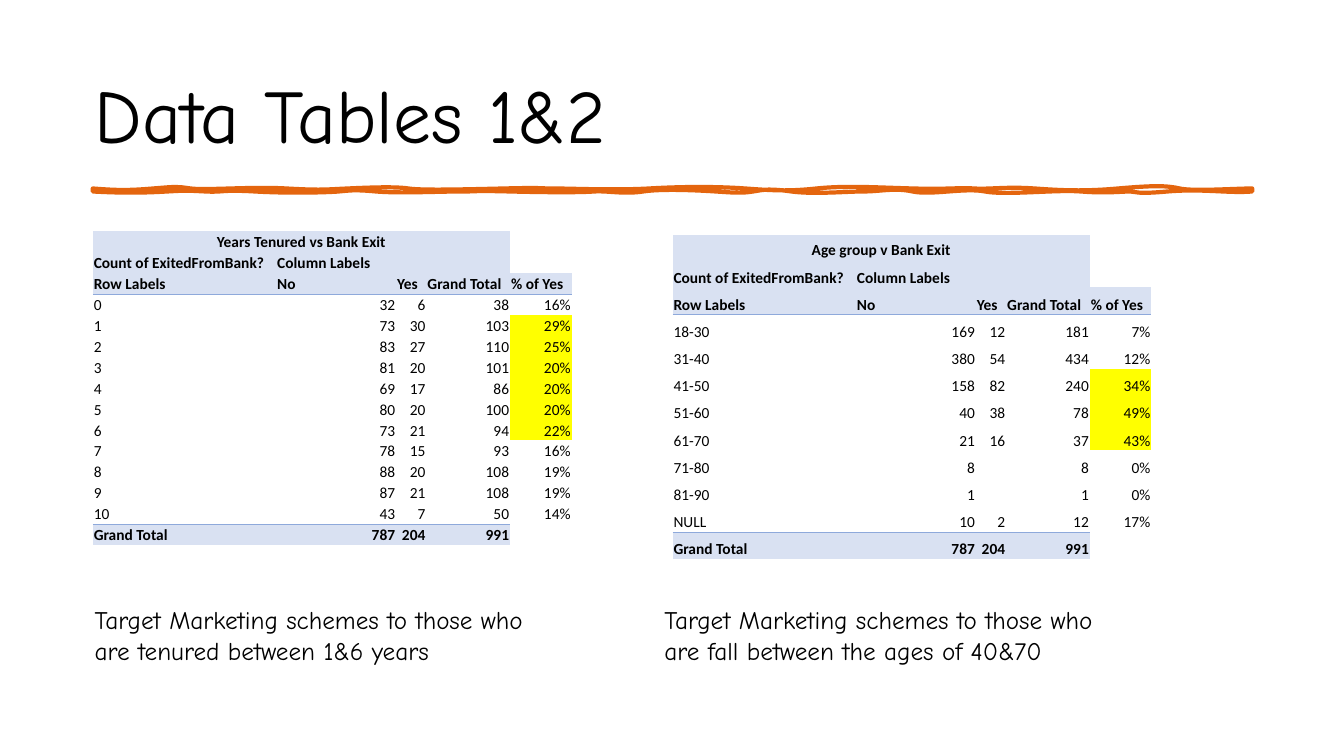
from lxml.etree import SubElement
from pptx import Presentation
from pptx.dml.color import RGBColor
from pptx.enum.text import MSO_ANCHOR as Anchor, PP_ALIGN as Align
from pptx.oxml.ns import qn
from pptx.util import Inches, Pt


def paint(color, hue):
    color.rgb = RGBColor.from_string(hue)


def write(box, text, size, face="Comic Neue", bold=False):
    para = box.text_frame.paragraphs[0]
    para.text = text
    font = para.font
    font.size, font.name, font.bold = Pt(size), face, bold
    paint(font.color, "000000")
    return para


deck = Presentation()
deck.slide_width, deck.slide_height = Inches(13.33), Inches(7.5)
slide = deck.slides.add_slide(deck.slide_layouts[6])
shapes = slide.shapes

# Hand-drawn rule, in hundredths of an inch: two control points and an end point
x0, y0 = 92, 187
curves = [
    (117, 189, 128, 189, 152, 187), (176, 185, 175, 185, 189, 187),
    (204, 189, 249, 185, 284, 187), (319, 189, 323, 188, 345, 187),
    (367, 186, 392, 185, 405, 187), (418, 189, 458, 188, 500, 187),
    (542, 186, 530, 187, 549, 187), (567, 187, 609, 189, 644, 187),
    (678, 185, 711, 185, 739, 187), (766, 189, 782, 190, 810, 187),
    (839, 184, 869, 186, 905, 187), (942, 188, 950, 186, 966, 187),
    (982, 188, 998, 185, 1026, 187), (1054, 189, 1075, 190, 1109, 187),
    (1144, 184, 1157, 184, 1170, 187), (1183, 190, 1226, 187, 1242, 187),
    (1242, 188, 1242, 189, 1242, 190), (1219, 192, 1193, 187, 1158, 190),
    (1124, 193, 1129, 190, 1121, 190), (1113, 190, 1096, 192, 1072, 190),
    (1048, 188, 997, 194, 977, 190), (957, 186, 924, 194, 905, 190),
    (887, 186, 874, 190, 856, 190), (839, 190, 807, 193, 785, 190),
    (763, 187, 759, 188, 747, 190), (736, 192, 725, 191, 710, 190),
    (694, 189, 657, 187, 638, 190), (619, 193, 601, 189, 589, 190),
    (577, 191, 546, 191, 506, 190), (465, 189, 479, 190, 457, 190),
    (434, 190, 396, 192, 373, 190), (351, 188, 348, 189, 336, 190),
    (324, 191, 287, 192, 253, 190), (218, 188, 223, 191, 204, 190),
    (184, 189, 184, 189, 166, 190), (149, 191, 127, 192, 92, 190),
    (92, 189, 92, 188, 92, 187),
]
pen = shapes.build_freeform(x0, y0, scale=Inches(0.01))
pen.add_line_segments([curve[4:] for curve in curves], close=True)
rule = pen.convert_to_shape()
# Bend each straight segment into its curve
for seg, curve in zip(list(rule._element.iter(qn("a:lnTo"))), curves):
    seg.tag = qn("a:cubicBezTo")
    for old in list(seg):
        seg.remove(old)
    for x, y in zip(curve[::2], curve[1::2]):
        SubElement(seg, qn("a:pt"), x=str(x - x0), y=str(y - y0))
rule.shadow.inherit = False
rule.fill.background()
rule.line.width = Pt(3)
paint(rule.line.color, "E4650E")
SubElement(rule.line._get_or_add_ln(), qn("a:round"))

# Title
title = shapes.add_textbox(Inches(0.84), Inches(0.4), Inches(11.5), Inches(1.45))
title.text_frame.word_wrap = True
title.text_frame.vertical_anchor = Anchor.MIDDLE
write(title, "Data Tables 1&2", 54)

# Table data
heads = [
    ["Count of ExitedFromBank?", "Column Labels", "", "", ""],
    ["Row Labels", "No", "Yes", "Grand Total", "% of Yes"],
]
total = ["Grand Total", "787", "204", "991", ""]
tenure = [
    ["0", "32", "6", "38", "16%"],
    ["1", "73", "30", "103", "29%"],
    ["2", "83", "27", "110", "25%"],
    ["3", "81", "20", "101", "20%"],
    ["4", "69", "17", "86", "20%"],
    ["5", "80", "20", "100", "20%"],
    ["6", "73", "21", "94", "22%"],
    ["7", "78", "15", "93", "16%"],
    ["8", "88", "20", "108", "19%"],
    ["9", "87", "21", "108", "19%"],
    ["10", "43", "7", "50", "14%"],
]
ages = [
    ["18-30", "169", "12", "181", "7%"],
    ["31-40", "380", "54", "434", "12%"],
    ["41-50", "158", "82", "240", "34%"],
    ["51-60", "40", "38", "78", "49%"],
    ["61-70", "21", "16", "37", "43%"],
    ["71-80", "8", "", "8", "0%"],
    ["81-90", "1", "", "1", "0%"],
    ["NULL", "10", "2", "12", "17%"],
]
widths = [1.82, 1.19, 0.3, 0.83, 0.61]

# Tables: name, data, left, top, height, first row height, yellow rows
for name, data, left, top, high, first, marks in [
    ("Years Tenured vs Bank Exit", tenure, 0.92, 2.29, 3.12, 0.21, range(4, 10)),
    ("Age group v Bank Exit", ages, 6.67, 2.33, 3.22, 0.25, range(5, 8)),
]:
    rows = [[name, "", "", "", ""], *heads, *data, total]
    last = len(rows) - 1
    table = shapes.add_table(len(rows), 5, Inches(left), Inches(top),
                             Inches(sum(widths)), Inches(high)).table
    table.first_row = table.horz_banding = False
    style = table._tbl.tblPr.find(qn("a:tableStyleId"))
    style.text = "{2D5ABB26-0587-4C30-8999-92F81FD0307C}"
    for col, wide in zip(table.columns, widths):
        col.width = Inches(wide)
    for r, row in enumerate(rows):
        table.rows[r].height = Inches(first if r == 0 else (high - first) / last)
        for c, text in enumerate(row):
            cell = table.cell(r, c)
            cell.margin_left = cell.margin_right = cell.margin_top = Inches(0.01)
            cell.margin_bottom = 0
            cell.vertical_anchor = Anchor.BOTTOM
            para = write(cell, text, 11, "Calibri", r < 3 or r == last)
            if r == 0:
                para.alignment = Align.CENTER
            elif r > 2 and c > 0:
                para.alignment = Align.RIGHT
            # Thin lines under the heads and over the total, none elsewhere
            lined = {2: "lnB", 3: "lnT", last - 1: "lnB", last: "lnT"}.get(r)
            for side in ("lnL", "lnR", "lnT", "lnB"):
                edge = SubElement(cell._tc.get_or_add_tcPr(), qn(f"a:{side}"))
                if side == lined and (c < 4 or r < 4):
                    edge.set("w", str(Pt(0.5)))
                    ink = SubElement(edge, qn("a:solidFill"))
                    SubElement(ink, qn("a:srgbClr"), val="8EA9DB")
                else:
                    SubElement(edge, qn("a:noFill"))
            # Fill
            if (r < 3 or r == last) and (c < 4 or r == 2):
                cell.fill.solid()
                paint(cell.fill.fore_color, "D9E1F2")
            elif c == 4 and r in marks:
                cell.fill.solid()
                paint(cell.fill.fore_color, "FFFF00")
            else:
                cell.fill.background()
    table.cell(0, 0).merge(table.cell(0, 3))

# Captions
for left, wide, text in [
    (0.84, 4.53, "Target Marketing schemes to those who are tenured between 1&6 years"),
    (6.49, 4.85, "Target Marketing schemes to those who are fall between the ages of 40&70"),
]:
    note = shapes.add_textbox(Inches(left), Inches(5.95), Inches(wide), Inches(0.71))
    note.text_frame.word_wrap = True
    write(note, text, 18)

deck.save("out.pptx")
